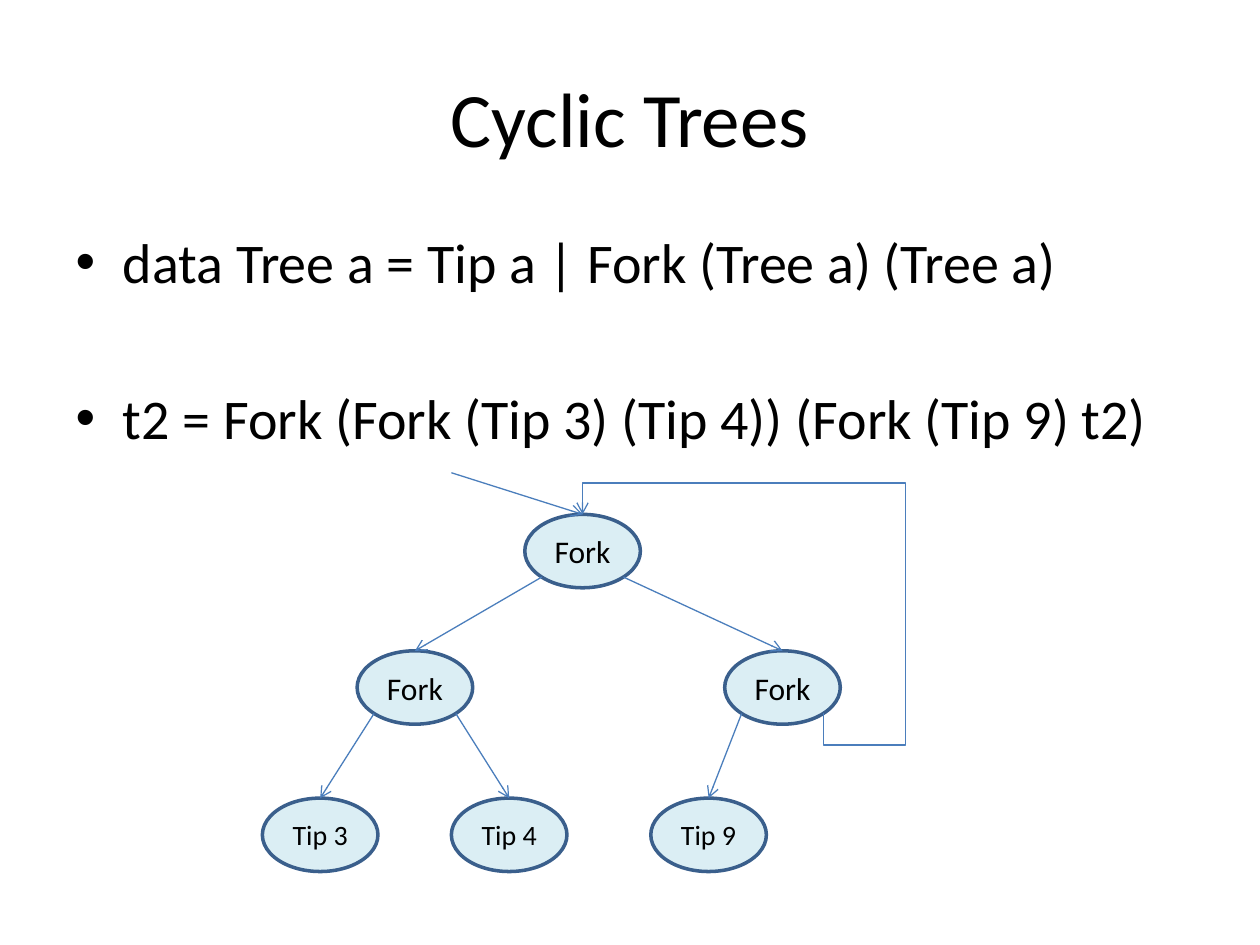
"""Builds the "Cyclic Trees" slide with a tree whose last branch loops to its root."""
from dataclasses import dataclass
from math import sqrt

from lxml.etree import SubElement
from pptx import Presentation
from pptx.dml.color import RGBColor as RGB
from pptx.enum.shapes import MSO_CONNECTOR as CXN, MSO_SHAPE as SHAPE
from pptx.enum.text import MSO_ANCHOR as ANCHOR, PP_ALIGN as ALIGN
from pptx.oxml.ns import qn
from pptx.util import Cm, Pt


@dataclass(frozen=True)
class Theme:
    font: str = "Calibri"
    text: RGB = RGB(0x00, 0x00, 0x00)
    node_fill: RGB = RGB(0xDB, 0xEE, 0xF4)
    node_line: RGB = RGB(0x3A, 0x5F, 0x8C)
    arrow: RGB = RGB(0x4B, 0x7E, 0xBC)
    title_size: Pt = Pt(44)
    body_size: Pt = Pt(32)
    fork_size: Pt = Pt(18)
    tip_size: Pt = Pt(16)
    node_width: Pt = Pt(2)
    arrow_width: Pt = Pt(0.75)


THEME = Theme()
NODE_W, NODE_H = Cm(2.33), Cm(1.48)
ROOT_Y, FORK_Y, TIP_Y = 10.37, 13.12, 16.09


def add_run(p, text, size):
    r = p.add_run()
    r.text = text
    r.font.name, r.font.size = THEME.font, size
    r.font.color.rgb = THEME.text


def place(sp, left, top, width, height):
    sp.left, sp.top, sp.width, sp.height = Cm(left), Cm(top), Cm(width), Cm(height)


def fill_title(sp, text):
    place(sp, 1.27, 0.76, 22.86, 3.18)
    tf = sp.text_frame
    tf.vertical_anchor = ANCHOR.MIDDLE
    p = tf.paragraphs[0]
    p.alignment = ALIGN.CENTER
    add_run(p, text, THEME.title_size)


def fill_body(sp, lines, gap):
    place(sp, 1.27, 4.45, 22.86, 12.57)
    tf = sp.text_frame
    for i, line in enumerate(lines):
        p = tf.add_paragraph() if i else tf.paragraphs[0]
        if i:
            p.space_before = gap
        add_run(p, line, THEME.body_size)


def add_node(slide, text, left, top, size):
    sp = slide.shapes.add_shape(SHAPE.OVAL, Cm(left), Cm(top), NODE_W, NODE_H)
    sp.shadow.inherit = False
    sp.fill.solid()
    sp.fill.fore_color.rgb = THEME.node_fill
    sp.line.color.rgb, sp.line.width = THEME.node_line, THEME.node_width
    tf = sp.text_frame
    tf.word_wrap = False
    tf.vertical_anchor = ANCHOR.MIDDLE
    p = tf.paragraphs[0]
    p.alignment = ALIGN.CENTER
    add_run(p, text, size)
    return sp


def top_of(node):
    return node.left + node.width // 2, node.top


def lower_corner(node, side):
    """Point on the ellipse at 45 degrees: side -1 is left, 1 is right."""
    x = node.left + node.width / 2 + side * node.width / (2 * sqrt(2))
    y = node.top + node.height / 2 + node.height / (2 * sqrt(2))
    return int(x), int(y)


def add_arrow(slide, start, end, kind=CXN.STRAIGHT):
    s = slide.shapes.add_connector(kind, *start, *end)
    s.line.color.rgb, s.line.width = THEME.arrow, THEME.arrow_width
    SubElement(s.line._get_or_add_ln(), qn("a:tailEnd"), type="arrow")
    SubElement(s._element.spPr, qn("a:effectLst"))
    return s


def add_branch(slide, parent, child, side):
    s = add_arrow(slide, lower_corner(parent, side), top_of(child))
    s.end_connect(child, 0)


def add_loop(slide, parent, root):
    """Route an elbow from the parent's lower right around to the root's top."""
    (x1, y1), (x2, y2) = lower_corner(parent, 1), top_of(root)
    s = add_arrow(slide, (x1, y1), (x2, y2), CXN.ELBOW)
    width, height = y1 - y2, x1 - x2
    xfrm = s._element.spPr.find(qn("a:xfrm"))
    for flip in ("flipH", "flipV"):
        xfrm.attrib.pop(flip, None)
    xfrm.set("rot", str(90 * 60000))
    xfrm.set("flipH", "1")
    s.left, s.top = (x1 + x2 - width) // 2, (y1 + y2 - height) // 2
    s.width, s.height = width, height
    geom = s._element.spPr.find(qn("a:prstGeom"))
    geom.set("prst", "bentConnector5")
    guides = geom.find(qn("a:avLst"))
    if guides is None:
        guides = SubElement(geom, qn("a:avLst"))
    for i, value in enumerate((-15800, -34100, 115800), 1):
        SubElement(guides, qn("a:gd"), name=f"adj{i}", fmla=f"val {value}")


def add_tree(slide):
    root, left, right = (
        add_node(slide, "Fork", x, y, THEME.fork_size)
        for x, y in ((10.58, ROOT_Y), (7.2, FORK_Y), (14.61, FORK_Y)))
    tip3, tip4, tip9 = (
        add_node(slide, text, x, TIP_Y, THEME.tip_size)
        for text, x in (("Tip 3", 5.29), ("Tip 4", 9.1), ("Tip 9", 13.12)))
    for parent, child, side in ((root, left, -1), (root, right, 1),
                                (left, tip3, -1), (left, tip4, 1),
                                (right, tip9, -1)):
        add_branch(slide, parent, child, side)
    add_loop(slide, right, root)
    entry = add_arrow(slide, (Cm(9.1), Cm(9.53)), top_of(root))
    entry.end_connect(root, 0)


def main():
    prs = Presentation()
    prs.slide_width, prs.slide_height = Cm(25.4), Cm(19.05)
    slide = prs.slides.add_slide(prs.slide_layouts[1])
    title, body = slide.placeholders
    fill_title(title, "Cyclic Trees")
    fill_body(body, ("data Tree a = Tip a | Fork (Tree a) (Tree a)",
                     "t2 = Fork (Fork (Tip 3) (Tip 4)) (Fork (Tip 9) t2)"), Pt(51))
    add_tree(slide)
    prs.save("out.pptx")


if __name__ == "__main__":
    main()
